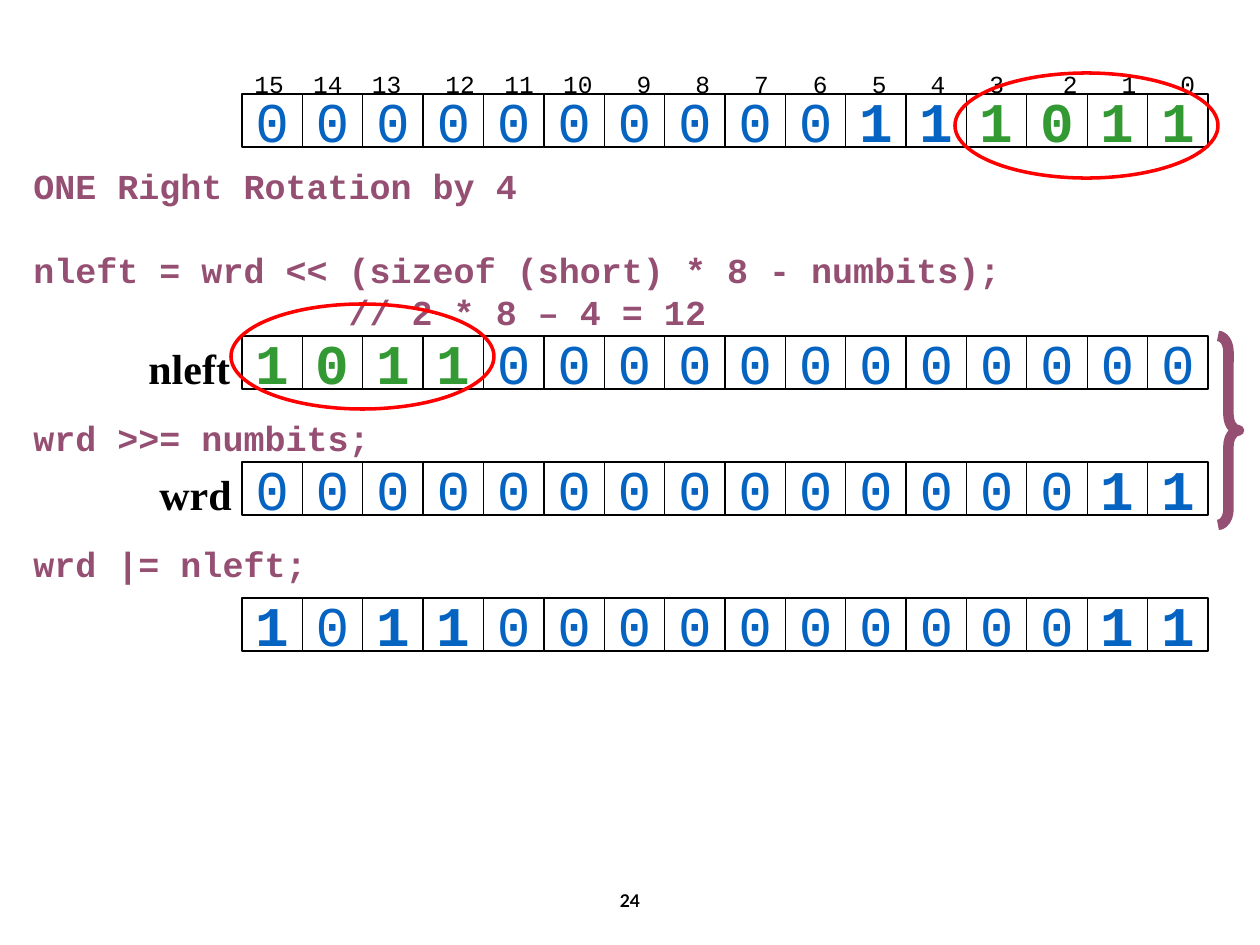
from typing import NamedTuple

from lxml import etree
from pptx import Presentation
from pptx.dml.color import RGBColor
from pptx.enum.shapes import MSO_SHAPE
from pptx.enum.text import MSO_ANCHOR, PP_ALIGN
from pptx.oxml.ns import qn
from pptx.shapes.autoshape import Shape
from pptx.slide import Slide
from pptx.text.text import _Paragraph as Paragraph
from pptx.util import Pt

RECTANGLE, ELLIPSE, BRACE = MSO_SHAPE.RECTANGLE, MSO_SHAPE.OVAL, MSO_SHAPE.RIGHT_BRACE
CENTER, LEFT = PP_ALIGN.CENTER, PP_ALIGN.LEFT
TOP, MIDDLE = MSO_ANCHOR.TOP, MSO_ANCHOR.MIDDLE

BLACK = RGBColor(0x00, 0x00, 0x00)
BLUE = RGBColor(0x05, 0x63, 0xC1)
GREEN = RGBColor(0x33, 0x99, 0x33)
PURPLE = RGBColor(0x95, 0x4F, 0x72)
RED = RGBColor(0xFF, 0x00, 0x00)

MONO = "Courier New"
SERIF = "Times New Roman"
SANS = "Lato"

EMU_PER_PX = 914400 / 126
ROW_LEFT, ROW_WIDTH, ROW_HEIGHT = 242, 966, 53
CODE_LINE_POINTS = 24
INDEX_POINTS = 14
MONO_ADVANCE = 0.6  # character width as a share of the font size


class Box(NamedTuple):
    left: int
    top: int
    width: int
    height: int


class Style(NamedTuple):
    font: str
    size: int
    color: RGBColor
    bold: bool = False


class BitRow(NamedTuple):
    top: int
    bits: str
    green: range = range(0)


class Label(NamedTuple):
    text: str
    box: Box
    style: Style
    align: PP_ALIGN = LEFT
    anchor: MSO_ANCHOR = TOP
    wrap: bool = True


class Outline(NamedTuple):
    kind: MSO_SHAPE
    box: Box
    color: RGBColor
    points: int


class CodeLine(NamedTuple):
    text: str
    lines_before: int = 0


NAME_STYLE = Style(SERIF, 24, BLACK, True)
CODE_STYLE = Style(MONO, 20, PURPLE, True)
INDEX_STYLE = Style(MONO, INDEX_POINTS, BLACK)

LABELS = [
    Label("24", Box(417, 876, 426, 50), Style(SANS, 10, BLACK, True), CENTER, MIDDLE),
    Label("nleft", Box(136, 336, 107, 63), NAME_STYLE, wrap=False),
    Label("wrd", Box(147, 462, 98, 63), NAME_STYLE, wrap=False),
]
CODE_BOX = Box(21, 158, 1144, 432)
CODE = [
    CodeLine("ONE Right Rotation by 4"),
    CodeLine("nleft = wrd << (sizeof (short) * 8 - numbits);", 1),
    CodeLine("               // 2 * 8 – 4 = 12"),
    CodeLine("wrd >>= numbits;", 2),
    CodeLine("wrd |= nleft;", 2),
]
INDEX_BOX = Box(242, 63, 987, 42)
INDEX_COLUMNS = [0, 4, 8, 13, 17, 21, 26, 30, 34, 38, 42, 46, 50, 55, 59, 63]
BIT_ROWS = [
    BitRow(462, "0000000000000011"),
    BitRow(598, "1011000000000011"),
    BitRow(94, "0000000000111011", range(12, 16)),
    BitRow(336, "1011000000000000", range(4)),
]
OUTLINES = [
    Outline(BRACE, Box(1218, 336, 21, 189), PURPLE, 6),
    Outline(ELLIPSE, Box(955, 73, 263, 105), RED, 2),
    Outline(ELLIPSE, Box(231, 304, 263, 105), RED, 2),
]


def px(value: float) -> int:
    return round(value * EMU_PER_PX)


def write(paragraph: Paragraph, text: str, style: Style) -> None:
    paragraph.text = text
    for run in paragraph.runs:
        run.font.name = style.font
        run.font.size = Pt(style.size)
        run.font.bold = style.bold
        run.font.color.rgb = style.color


def add_text_box(slide: Slide, box: Box, wrap: bool = True) -> Shape:
    shape = slide.shapes.add_textbox(*map(px, box))
    shape.text_frame.word_wrap = wrap
    return shape


def add_label(slide: Slide, label: Label) -> None:
    frame = add_text_box(slide, label.box, label.wrap).text_frame
    frame.vertical_anchor = label.anchor
    paragraph = frame.paragraphs[0]
    paragraph.alignment = label.align
    write(paragraph, label.text, label.style)


def add_code(slide: Slide) -> None:
    frame = add_text_box(slide, CODE_BOX).text_frame
    for number, line in enumerate(CODE):
        paragraph = frame.add_paragraph() if number else frame.paragraphs[0]
        paragraph.line_spacing = Pt(CODE_LINE_POINTS)
        if line.lines_before:
            paragraph.space_before = Pt(line.lines_before * CODE_LINE_POINTS)
        write(paragraph, line.text, CODE_STYLE)


def add_bit_indexes(slide: Slide) -> None:
    paragraph = add_text_box(slide, INDEX_BOX).text_frame.paragraphs[0]
    tabs = etree.SubElement(paragraph._p.get_or_add_pPr(), qn("a:tabLst"))
    for column in INDEX_COLUMNS[1:]:
        position = Pt(column * INDEX_POINTS * MONO_ADVANCE)
        etree.SubElement(tabs, qn("a:tab"), pos=str(position), algn="l")
    write(paragraph, "\t".join(str(bit) for bit in reversed(range(16))), INDEX_STYLE)


def style_outline(shape: Shape, color: RGBColor, points: float) -> None:
    shape.shadow.inherit = False
    shape.fill.background()
    shape.line.color.rgb = color
    shape.line.width = Pt(points)


def add_bit_row(slide: Slide, row: BitRow) -> None:
    group = slide.shapes.add_group_shape()
    cell_width = px(ROW_WIDTH / len(row.bits))
    for index, bit in enumerate(row.bits):
        left = px(ROW_LEFT) + index * cell_width
        cell = group.shapes.add_shape(RECTANGLE, left, px(row.top), cell_width, px(ROW_HEIGHT))
        style_outline(cell, BLACK, 0.75)
        frame = cell.text_frame
        frame.word_wrap = False
        frame.vertical_anchor = MIDDLE
        frame.paragraphs[0].alignment = CENTER
        is_green = index in row.green
        color = GREEN if is_green else BLUE
        write(frame.paragraphs[0], bit, Style(MONO, 32, color, is_green or bit == "1"))


def add_outline(slide: Slide, outline: Outline) -> None:
    shape = slide.shapes.add_shape(outline.kind, *map(px, outline.box))
    style_outline(shape, outline.color, outline.points)
    if outline.kind == BRACE:
        shape.adjustments[0] = 0.75


def main() -> None:
    presentation = Presentation()
    presentation.slide_width, presentation.slide_height = px(1260), px(945)
    slide = presentation.slides.add_slide(presentation.slide_layouts[6])

    # Code, bit numbers and names
    add_code(slide)
    add_bit_indexes(slide)
    for label in LABELS:
        add_label(slide, label)

    # Words as rows of bits
    for row in BIT_ROWS:
        add_bit_row(slide, row)

    # Marks around the rotated bits and the combined words
    for outline in OUTLINES:
        add_outline(slide, outline)

    presentation.save("out.pptx")


if __name__ == "__main__":
    main()
